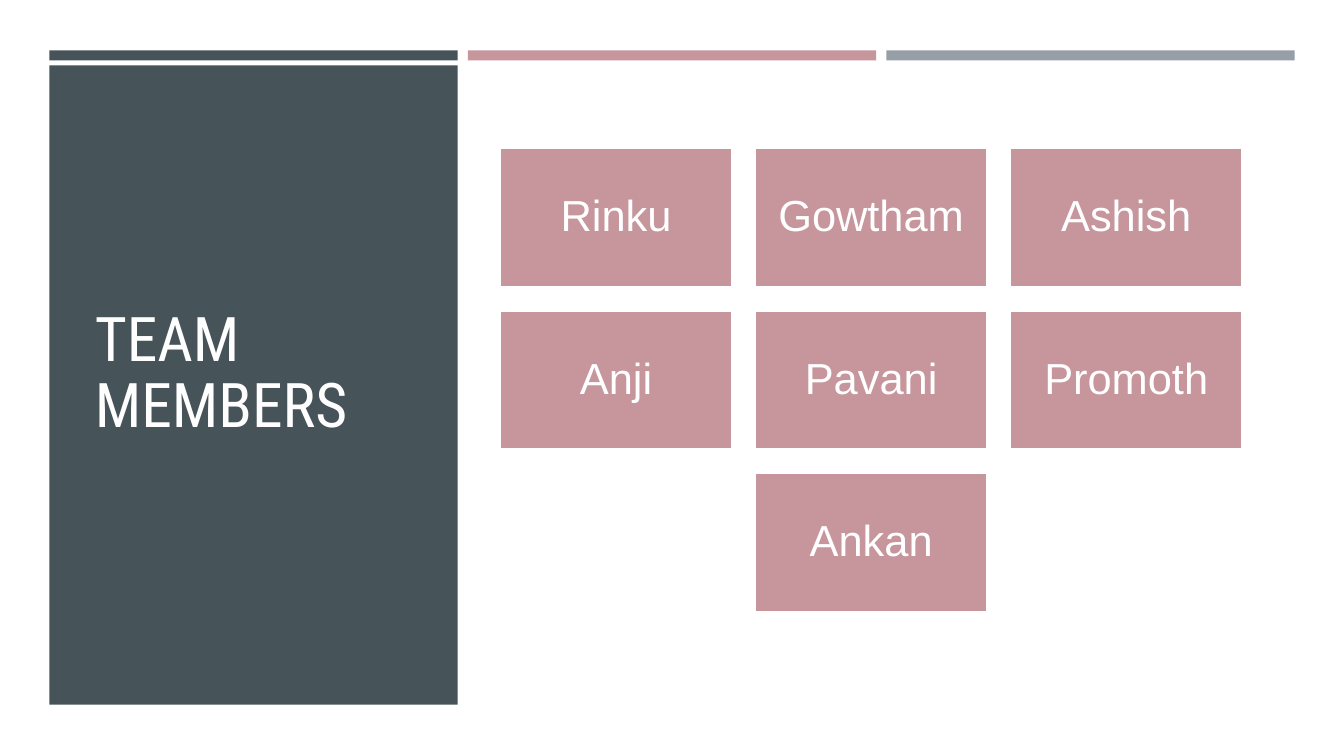
from pptx import Presentation
from pptx.dml.color import RGBColor
from pptx.enum.shapes import MSO_SHAPE
from pptx.enum.text import MSO_ANCHOR, MSO_AUTO_SIZE, PP_ALIGN
from pptx.util import Inches, Pt

SLATE, ROSE, GRAY, WHITE = "465359", "C6969C", "969FA7", "FFFFFF"
MEMBER_ROWS = [
    ["Rinku", "Gowtham", "Ashish"],
    ["Anji", "Pavani", "Promoth"],
    ["Ankan"],
]


def color(hex_code):
    return RGBColor.from_string(hex_code)


def write_text(shape, text, *, size, font, hex_code, align, inset=(0.1, 0.05)):
    frame = shape.text_frame
    frame.text = text
    frame.word_wrap = True
    frame.auto_size = MSO_AUTO_SIZE.NONE
    frame.vertical_anchor = MSO_ANCHOR.MIDDLE
    frame.margin_left = frame.margin_right = Inches(inset[0])
    frame.margin_top = frame.margin_bottom = Inches(inset[1])
    paragraph = frame.paragraphs[0]
    paragraph.alignment = align
    paragraph.line_spacing = 0.9
    run_font = paragraph.runs[0].font
    run_font.name = font
    run_font.size = Pt(size)
    run_font.color.rgb = color(hex_code)


def add_box(slide, left, top, width, height, fill, line=None):
    box = slide.shapes.add_shape(
        MSO_SHAPE.RECTANGLE, *map(Inches, (left, top, width, height)))
    box.shadow.inherit = False
    box.fill.solid()
    box.fill.fore_color.rgb = color(fill)
    if line:
        box.line.color.rgb = color(line)
        box.line.width = Pt(1.75)
    else:
        box.line.fill.background()
    return box


def add_top_bars(slide, left, top, width, height, gap=0.1):
    fills = [SLATE, ROSE, GRAY]
    bar_width = (width - gap * (len(fills) - 1)) / len(fills)
    for column, fill in enumerate(fills):
        add_box(slide, left + column * (bar_width + gap), top, bar_width, height, fill)


def add_title_panel(slide, left, top, width, height):
    add_box(slide, left, top, width, height, SLATE)
    title = slide.shapes.title
    # Bring the title in front of its panel
    slide.shapes._spTree.append(title._element)
    title.left, title.top = Inches(left + 0.35), Inches(top + 0.49)
    title.width, title.height = Inches(width - 0.71), Inches(5.15)
    write_text(title, "TEAM MEMBERS", size=44, font="Roboto Condensed",
               hex_code="FFFEFF", align=PP_ALIGN.LEFT)


def add_member_cards(slide, left, top, width, height, gap=0.23):
    """Lay out the rows of names, centring any row that is not full."""
    columns = max(map(len, MEMBER_ROWS))
    card_width = (width - gap * (columns - 1)) / columns
    card_height = (height - gap * (len(MEMBER_ROWS) - 1)) / len(MEMBER_ROWS)
    for row, names in enumerate(MEMBER_ROWS):
        first_column = (columns - len(names)) / 2
        for column, name in enumerate(names, 0):
            card = add_box(
                slide,
                left + (first_column + column) * (card_width + gap),
                top + row * (card_height + gap),
                card_width, card_height, ROSE, line=WHITE)
            write_text(card, name, size=31, font="Arial", hex_code=WHITE,
                       align=PP_ALIGN.CENTER, inset=(0.13, 0.13))


def main():
    presentation = Presentation()
    presentation.slide_width = Inches(13.33)
    presentation.slide_height = Inches(7.5)
    slide = presentation.slides.add_slide(presentation.slide_layouts[5])
    slide.background.fill.solid()
    slide.background.fill.fore_color.rgb = color(WHITE)
    add_top_bars(slide, 0.49, 0.5, 12.35, 0.1)
    add_title_panel(slide, 0.49, 0.65, 4.05, 6.34)
    add_member_cards(slide, 4.96, 1.47, 7.36, 4.6)
    presentation.save("out.pptx")


if __name__ == "__main__":
    main()
